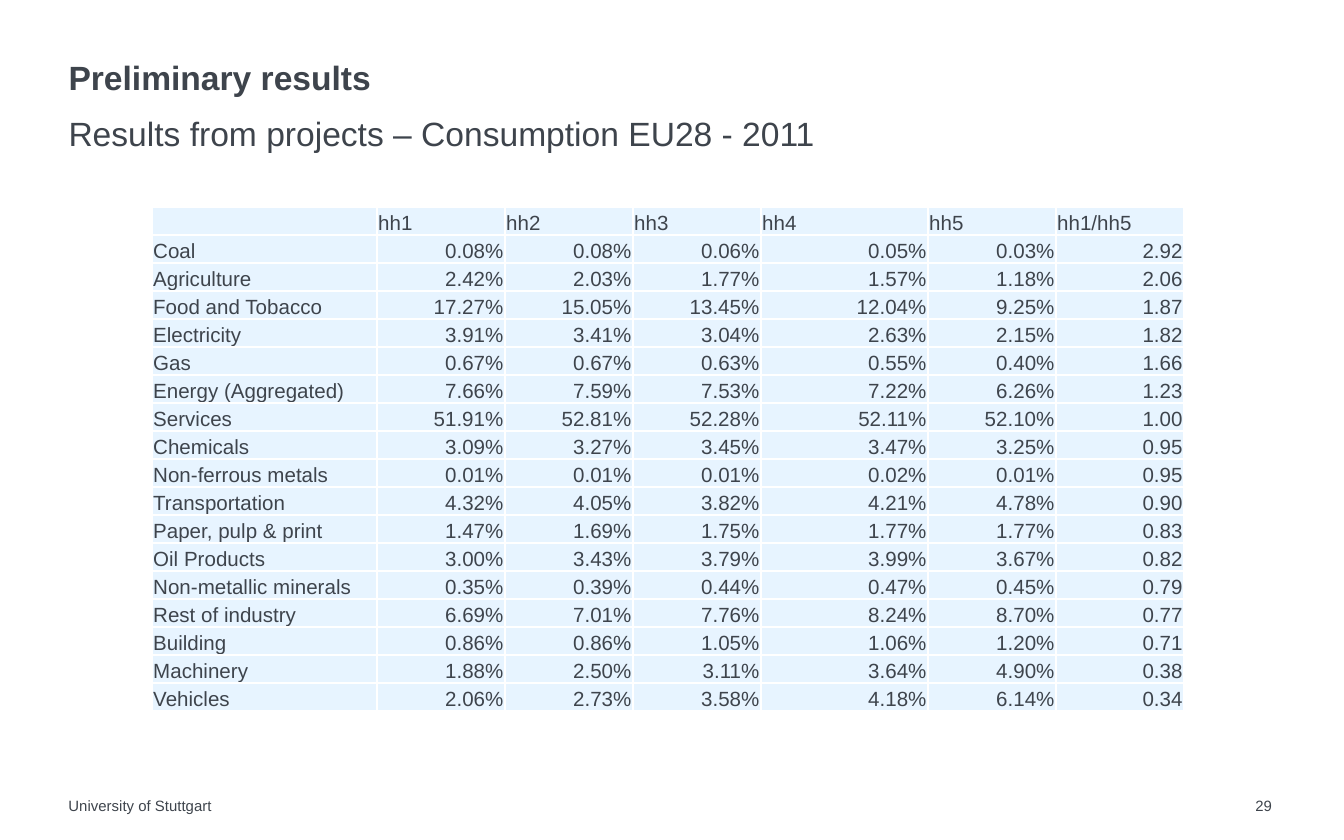
from dataclasses import dataclass

from lxml import etree
from pptx import Presentation
from pptx.dml.color import RGBColor
from pptx.enum.text import MSO_ANCHOR, PP_ALIGN
from pptx.oxml.ns import qn
from pptx.util import Inches, Pt

TOP, BOTTOM = MSO_ANCHOR.TOP, MSO_ANCHOR.BOTTOM
LEFT, RIGHT = PP_ALIGN.LEFT, PP_ALIGN.RIGHT
WIDE, HIGH = 10, 6.25
COLS = (1.67, 0.95, 0.95, 0.95, 1.24, 0.95, 0.95)
HEADS = ("", "hh1", "hh2", "hh3", "hh4", "hh5", "hh1/hh5")
ROWS = (
    ("Coal", "0.08%", "0.08%", "0.06%", "0.05%", "0.03%", "2.92"),
    ("Agriculture", "2.42%", "2.03%", "1.77%", "1.57%", "1.18%", "2.06"),
    ("Food and Tobacco", "17.27%", "15.05%", "13.45%", "12.04%", "9.25%", "1.87"),
    ("Electricity", "3.91%", "3.41%", "3.04%", "2.63%", "2.15%", "1.82"),
    ("Gas", "0.67%", "0.67%", "0.63%", "0.55%", "0.40%", "1.66"),
    ("Energy (Aggregated)", "7.66%", "7.59%", "7.53%", "7.22%", "6.26%", "1.23"),
    ("Services", "51.91%", "52.81%", "52.28%", "52.11%", "52.10%", "1.00"),
    ("Chemicals", "3.09%", "3.27%", "3.45%", "3.47%", "3.25%", "0.95"),
    ("Non-ferrous metals", "0.01%", "0.01%", "0.01%", "0.02%", "0.01%", "0.95"),
    ("Transportation", "4.32%", "4.05%", "3.82%", "4.21%", "4.78%", "0.90"),
    ("Paper, pulp & print", "1.47%", "1.69%", "1.75%", "1.77%", "1.77%", "0.83"),
    ("Oil Products", "3.00%", "3.43%", "3.79%", "3.99%", "3.67%", "0.82"),
    ("Non-metallic minerals", "0.35%", "0.39%", "0.44%", "0.47%", "0.45%", "0.79"),
    ("Rest of industry", "6.69%", "7.01%", "7.76%", "8.24%", "8.70%", "0.77"),
    ("Building", "0.86%", "0.86%", "1.05%", "1.06%", "1.20%", "0.71"),
    ("Machinery", "1.88%", "2.50%", "3.11%", "3.64%", "4.90%", "0.38"),
    ("Vehicles", "2.06%", "2.73%", "3.58%", "4.18%", "6.14%", "0.34"),
)


@dataclass(frozen=True)
class Theme:
    """Colours, font and type sizes of the slide."""
    ink: str = "3E444C"
    fill: str = "E7F4FF"
    rule: str = "FFFFFF"
    font: str = "Arial"
    head: float = 18
    cell: float = 11
    foot: float = 8


THEME = Theme()


def place(shape, box):
    """Move a shape to a box given in inches."""
    shape.left, shape.top, shape.width, shape.height = map(Inches, box)


def write(frame, text, size, bold=False, align=LEFT, space=1.0):
    """Set one formatted paragraph and return it."""
    frame.text = text
    para = frame.paragraphs[0]
    para.alignment, para.line_spacing = align, space
    para.space_before = Pt(0)
    for run in para.runs:
        font = run.font
        font.name, font.size, font.bold = THEME.font, Pt(size), bold
        font.color.rgb = RGBColor.from_string(THEME.ink)
    return para


def label(shape, box, text, size, anchor=TOP, **style):
    """Fill a text shape that has no insets."""
    place(shape, box)
    frame = shape.text_frame
    frame.word_wrap, frame.vertical_anchor = True, anchor
    frame.margin_left = frame.margin_right = 0
    frame.margin_top = frame.margin_bottom = 0
    return write(frame, text, size, **style)


def header(slide, box):
    """Place the title and the subtitle in the header box."""
    left, top, width, height = box
    row = 0.3
    title, body = slide.placeholders
    label(title, (left, top, width, row), "Preliminary results",
          THEME.head, BOTTOM, bold=True, space=0.9)
    para = label(body, (left, top + height - row, width, row),
                 "Results from projects – Consumption EU28 - 2011",
                 THEME.head, space=1.2)
    props = para._p.get_or_add_pPr()
    props.set("marL", "0")
    props.set("indent", "0")
    etree.SubElement(props, qn("a:buNone"))


def edge(cell):
    """Draw the four borders of a cell."""
    props = cell._tc.get_or_add_tcPr()
    for spot, side in enumerate(("lnL", "lnR", "lnT", "lnB")):
        line = etree.Element(qn(f"a:{side}"), w=str(Pt(1)))
        solid = etree.SubElement(line, qn("a:solidFill"))
        etree.SubElement(solid, qn("a:srgbClr"), val=THEME.rule)
        props.insert(spot, line)


def fill_cell(cell, text, align):
    """Format one table cell and write its text."""
    cell.margin_left = cell.margin_right = cell.margin_top = Inches(0.01)
    cell.margin_bottom = 0
    cell.vertical_anchor = BOTTOM
    cell.fill.solid()
    cell.fill.fore_color.rgb = RGBColor.from_string(THEME.fill)
    edge(cell)
    para = write(cell.text_frame, text, THEME.cell, align=align)
    if not text:
        etree.SubElement(para._p, qn("a:endParaRPr"), sz=str(int(THEME.cell * 100)))


def grid(slide, box):
    """Place the table of consumption shares in its box."""
    data = (HEADS, *ROWS)
    table = slide.shapes.add_table(len(data), len(COLS), *map(Inches, box)).table
    table.first_row = table.horz_banding = False
    for col, share in zip(table.columns, COLS):
        col.width = Inches(box[2] * share / sum(COLS))
    for r, row in enumerate(data):
        table.rows[r].height = Inches(box[3] / len(data))
        for c, text in enumerate(row):
            fill_cell(table.cell(r, c), text, RIGHT if r and c else LEFT)


def footer(slide, box):
    """Place the school's name and the page number in the footer box."""
    left, top, width, height = box
    page = 0.24
    parts = (("University of Stuttgart", left, 6.63),
             ("29", left + width - page, page))
    for text, start, span in parts:
        spot = (start, top, span, height)
        shape = slide.shapes.add_textbox(*map(Inches, spot))
        label(shape, spot, text, THEME.foot)


def main():
    """Build and save the slide."""
    deck = Presentation()
    deck.slide_width, deck.slide_height = Inches(WIDE), Inches(HIGH)
    slide = deck.slides.add_slide(deck.slide_layouts[1])
    header(slide, (0.51, 0.43, 8.98, 0.65))
    grid(slide, (1.13, 1.54, 7.68, 3.75))
    footer(slide, (0.51, 5.93, 9.07, 0.14))
    deck.save("out.pptx")


if __name__ == "__main__":
    main()
